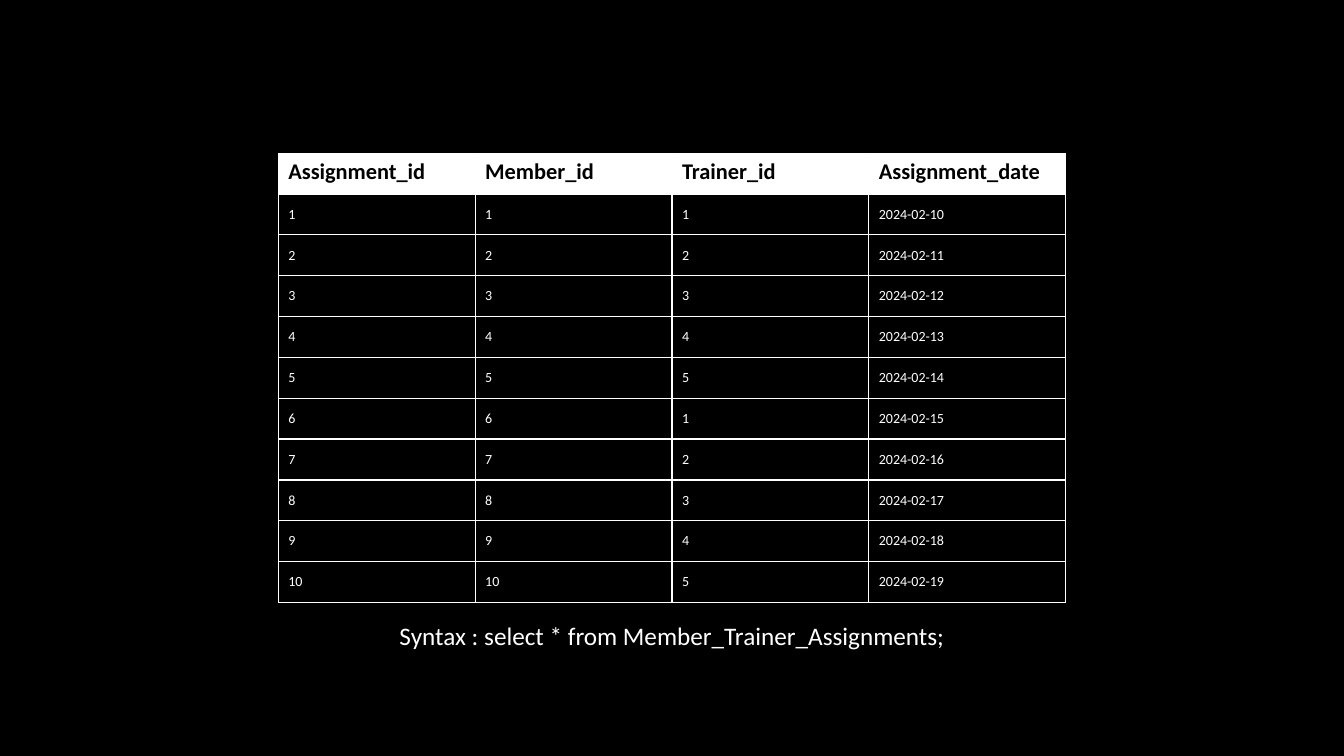
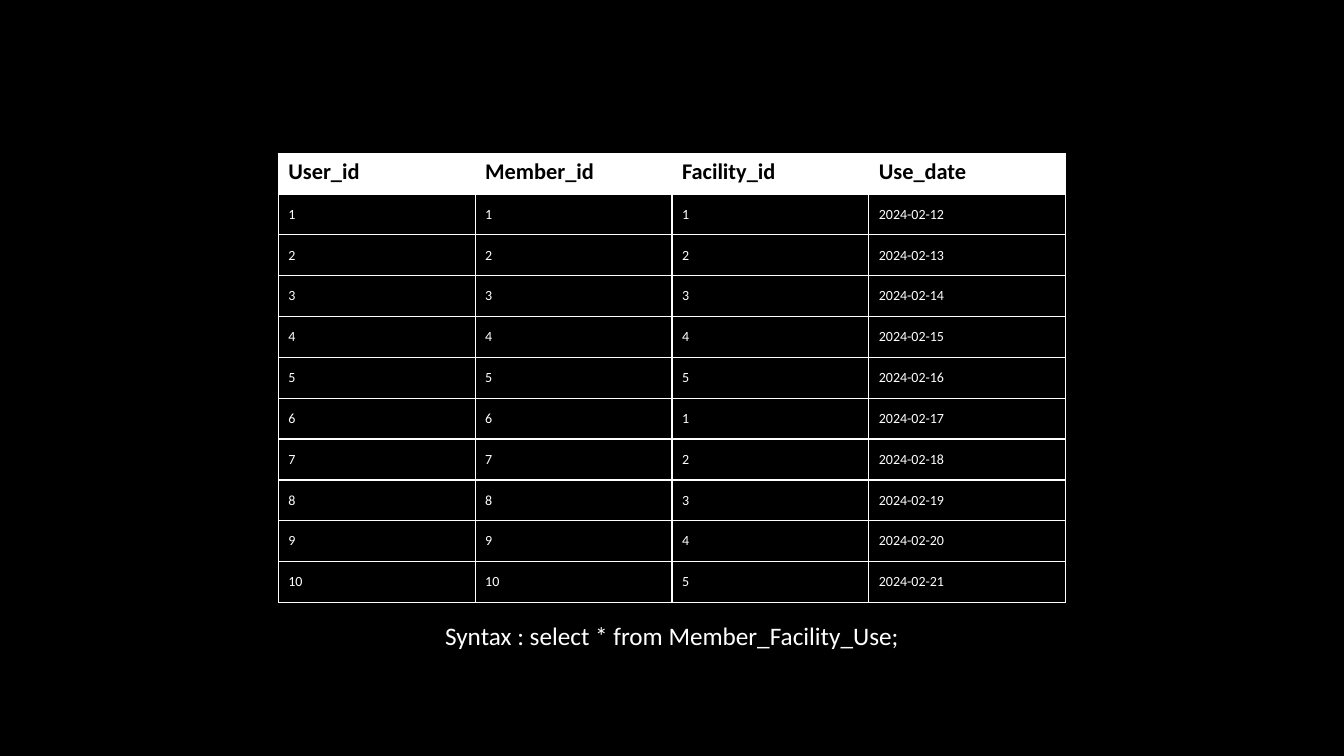
from pptx import Presentation
from pptx import util as u
from pptx.dml.color import RGBColor
from pptx.enum import text
from pptx.oxml import parse_xml
from pptx.oxml.ns import nsdecls

BLACK, WHITE = "000000", "FFFFFF"
HEADER = {"name": "Calibri", "size": u.Pt(16), "bold": True}
BODY = {"name": "Calibri", "size": u.Pt(10), "bold": False}
CAPTION = {"name": "Calibri", "size": u.Pt(18)}
OUTER_LINE, INNER_LINE = 0.5, 1
RECORDS = 10
LINKED_IDS = 5


def color(hex_value):
    return RGBColor.from_string(hex_value)


def set_font(paragraph, values, hex_value):
    for name, value in values.items():
        setattr(paragraph.font, name, value)
    paragraph.font.color.rgb = color(hex_value)


def set_borders(cell, widths):
    """Draw white borders; widths are points in the order left, right, top, bottom."""
    properties = cell._tc.get_or_add_tcPr()
    for position, (side, width) in enumerate(zip("LRTB", widths)):
        properties.insert(position, parse_xml(
            f'<a:ln{side} {nsdecls("a")} w="{u.Pt(width)}" cap="flat" cmpd="sng">'
            f'<a:solidFill><a:srgbClr val="{WHITE}"/></a:solidFill>'
            f'<a:prstDash val="solid"/></a:ln{side}>'))


class Deck:
    """Black slides, each with a centred table and a query below it."""

    def __init__(self):
        self.presentation = Presentation()
        self.presentation.slide_width = u.Inches(13.33)
        self.presentation.slide_height = u.Inches(7.5)
        background = self.presentation.slide_master.background.fill
        background.solid()
        background.fore_color.rgb = color(BLACK)
        self.slide = None

    def add_slide(self):
        blank = self.presentation.slide_layouts.get_by_name("Blank")
        self.slide = self.presentation.slides.add_slide(blank)

    def centred(self, top, width, height):
        """Turn inches into the place of an element centred across the slide."""
        left = (self.presentation.slide_width - u.Inches(width)) // 2
        return left, u.Inches(top), u.Inches(width), u.Inches(height)

    def table(self, rows):
        row_count, column_count = len(rows), len(rows[0])
        table = self.slide.shapes.add_table(
            row_count, column_count, *self.centred(1.52, 7.81, 4.46)).table
        table.horz_banding = False
        for r, row in enumerate(rows):
            for c, value in enumerate(row):
                edges = (c == 0, c == column_count - 1, r == 0, r == row_count - 1)
                self.cell(table.cell(r, c), value, r == 0, edges)

    def cell(self, cell, value, is_header, edges):
        cell.text = str(value)
        cell.fill.solid()
        cell.fill.fore_color.rgb = color(WHITE if is_header else BLACK)
        cell.vertical_anchor = (text.MSO_ANCHOR.TOP if is_header
                                else text.MSO_ANCHOR.MIDDLE)
        set_font(cell.text_frame.paragraphs[0], HEADER if is_header else BODY,
                 BLACK if is_header else WHITE)
        set_borders(cell, [OUTER_LINE if edge else INNER_LINE for edge in edges])

    def caption(self, wording):
        frame = self.slide.shapes.add_textbox(*self.centred(6.1, 6.67, 0.4)).text_frame
        frame.word_wrap = True
        frame.auto_size = text.MSO_AUTO_SIZE.SHAPE_TO_FIT_TEXT
        paragraph = frame.paragraphs[0]
        paragraph.text = wording
        paragraph.alignment = text.PP_ALIGN.CENTER
        set_font(paragraph, CAPTION, WHITE)


def records(first_day):
    """List daily records whose third column cycles through the linked ids."""
    return [(i + 1, i + 1, i % LINKED_IDS + 1, f"2024-02-{first_day + i}")
            for i in range(RECORDS)]


QUERIES = [
    ("Member_Trainer_Assignments",
     ("Assignment_id", "Member_id", "Trainer_id", "Assignment_date"), 10),
    ("Member_Facility_Use",
     ("User_id", "Member_id", "Facility_id", "Use_date"), 12),
]


def main():
    deck = Deck()
    for source, headings, first_day in QUERIES:
        deck.add_slide()
        deck.table([headings] + records(first_day))
        deck.caption(f"Syntax : select * from {source};")
    deck.presentation.save("out.pptx")


if __name__ == "__main__":
    main()
